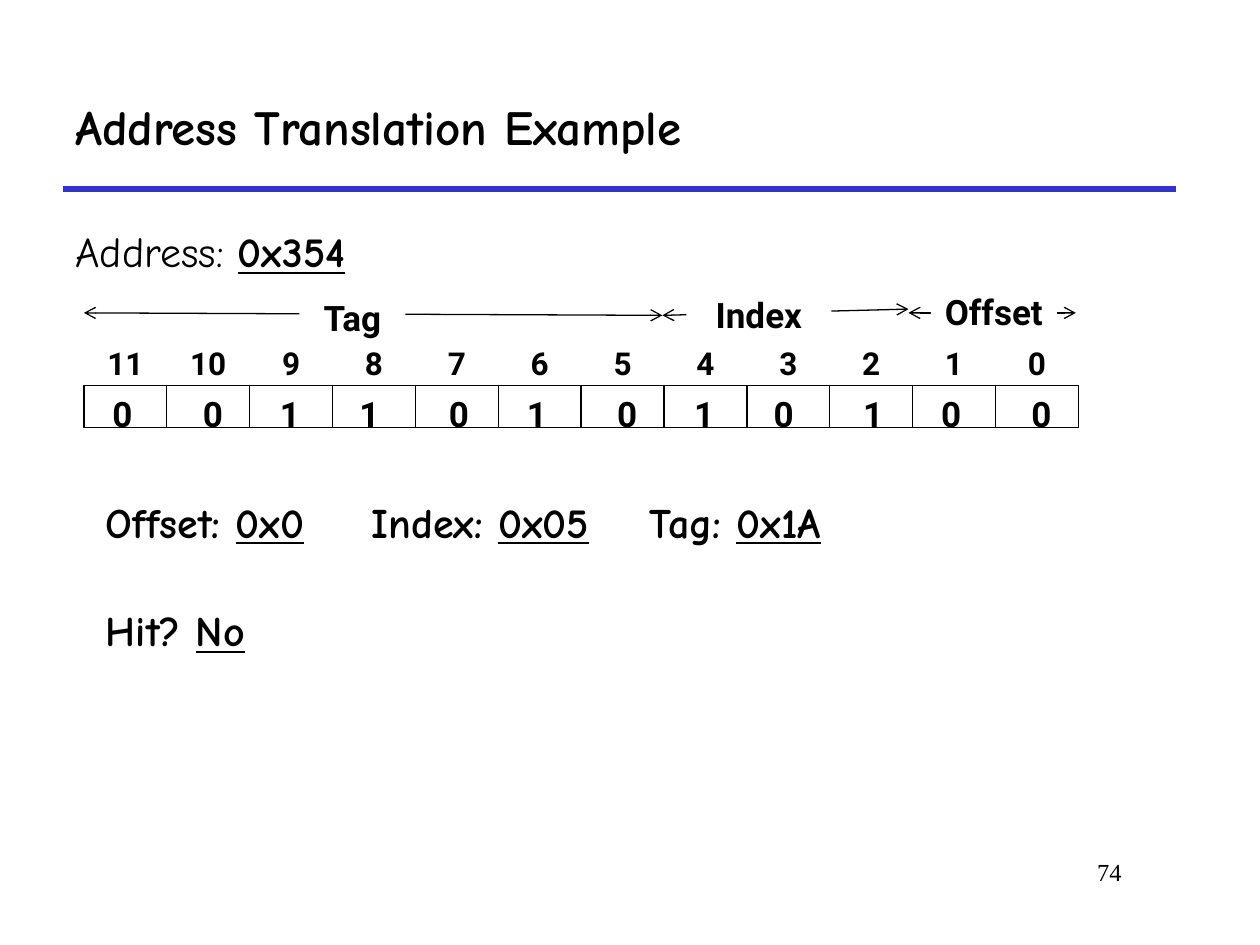
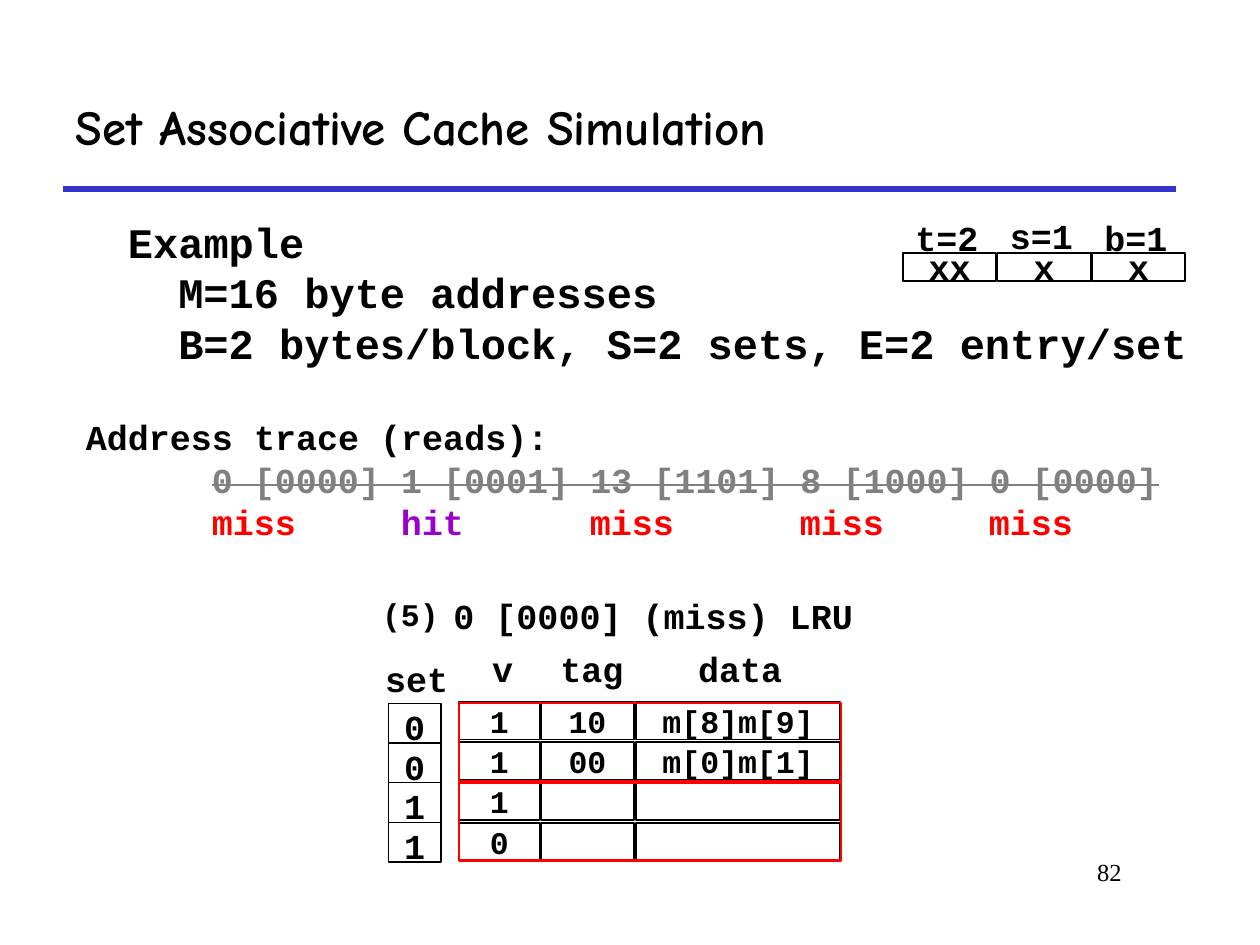
import dataclasses
import itertools

import pptx
import pptx.dml.color
import pptx.enum.shapes
import pptx.enum.text
import pptx.oxml.ns
import pptx.util
from lxml import etree

UNIT = pptx.util.Inches(1 / 12)  # the slide is a grid of 120 columns by 90 rows
COLUMNS, ROWS = 120, 90

BLACK = pptx.dml.color.RGBColor(0x00, 0x00, 0x00)
WHITE = pptx.dml.color.RGBColor(0xFF, 0xFF, 0xFF)
RULE_BLUE = pptx.dml.color.RGBColor(0x33, 0x33, 0xCC)
PAST_GREY = pptx.dml.color.RGBColor(0x80, 0x80, 0x80)
MISS_RED = pptx.dml.color.RGBColor(0xFF, 0x00, 0x00)
HIT_PURPLE = pptx.dml.color.RGBColor(0x99, 0x00, 0xCC)

LEFT = pptx.enum.text.PP_ALIGN.LEFT
CENTER = pptx.enum.text.PP_ALIGN.CENTER
RIGHT = pptx.enum.text.PP_ALIGN.RIGHT
TOP = pptx.enum.text.MSO_ANCHOR.TOP
MIDDLE = pptx.enum.text.MSO_ANCHOR.MIDDLE


@dataclasses.dataclass(frozen=True)
class Box:
    """A rectangle in grid units."""
    left: float
    top: float
    width: float
    height: float

    def offset(self, x, y, width, height):
        """A box placed from this one's top left corner."""
        return Box(self.left + x, self.top + y, width, height)

    def cell(self, columns, rows, x, y, width=1, height=1):
        """A box within this one, divided into columns and rows."""
        column, row = self.width / columns, self.height / rows
        return self.offset(x * column, y * row, width * column, height * row)

    def emu(self):
        return [round(n * UNIT) for n in (self.left, self.top, self.width, self.height)]


@dataclasses.dataclass(frozen=True)
class Style:
    font: str
    size: float
    bold: bool = True
    color: pptx.dml.color.RGBColor = BLACK
    underline: bool = False
    strike: bool = False

    def but(self, **changes):
        return dataclasses.replace(self, **changes)


HEADING = Style("Comic Neue", 28)
PROSE = Style("Comic Neue", 24)
ANSWER = PROSE.but(underline=True)
BIT_NUMBER = Style("Roboto", 18)
BIT = Style("Roboto", 20)
CODE_LARGE = Style("Courier New", 24)
CODE = Style("Courier New", 20)
CODE_SMALL = Style("Courier New", 18)
PAGE_NUMBER = Style("Times New Roman", 14, bold=False)


def add_runs(paragraph, runs):
    for text, style in runs:
        run = paragraph.add_run()
        run.text = text
        font = run.font
        font.name, font.size = style.font, pptx.util.Pt(style.size)
        font.bold, font.underline = style.bold, style.underline
        font.color.rgb = style.color
        if style.strike:
            run._r.get_or_add_rPr().set("strike", "sngStrike")


def fill_frame(frame, paragraphs, align=LEFT, anchor=TOP, wrap=False, spacing=None):
    """Write paragraphs, each a list of (text, style) runs."""
    frame.word_wrap = wrap
    frame.vertical_anchor = anchor
    for number, runs in enumerate(paragraphs):
        paragraph = frame.add_paragraph() if number else frame.paragraphs[0]
        paragraph.alignment = align
        if spacing:
            paragraph.line_spacing = spacing
        add_runs(paragraph, runs)
    return frame


def add_text(slide, box, paragraphs, **layout):
    return fill_frame(slide.shapes.add_textbox(*box.emu()).text_frame, paragraphs, **layout)


def add_rect(slide, box, fill=None, line=None, weight=0.75):
    rect = slide.shapes.add_shape(pptx.enum.shapes.MSO_SHAPE.RECTANGLE, *box.emu())
    rect.shadow.inherit = False
    if fill is None:
        rect.fill.background()
    else:
        rect.fill.solid()
        rect.fill.fore_color.rgb = fill
    if line is None:
        rect.line.fill.background()
    else:
        rect.line.color.rgb = line
        rect.line.width = pptx.util.Pt(weight)
    return rect


def add_code_cell(slide, box, text, style):
    cell = add_rect(slide, box, WHITE, BLACK, 1)
    if text:
        fill_frame(cell.text_frame, [[(text, style)]], align=CENTER, anchor=MIDDLE)


def add_line(slide, start, end, color=BLACK, weight=0.75, arrows=False):
    ends = [round(n * UNIT) for n in (*start, *end)]
    line = slide.shapes.add_connector(pptx.enum.shapes.MSO_CONNECTOR.STRAIGHT, *ends)
    line.line.color.rgb = color
    line.line.width = pptx.util.Pt(weight)
    if arrows:
        for tag in ("a:headEnd", "a:tailEnd"):
            etree.SubElement(line.line._ln, pptx.oxml.ns.qn(tag), type="arrow")
    etree.SubElement(line._element.spPr, pptx.oxml.ns.qn("a:effectLst"))


def set_tabs(paragraph, stops):
    tabs = etree.SubElement(paragraph._p.get_or_add_pPr(), pptx.oxml.ns.qn("a:tabLst"))
    for stop in stops:
        etree.SubElement(tabs, pptx.oxml.ns.qn("a:tab"), pos=str(round(stop * UNIT)), algn="l")


def add_page(deck, title, number):
    """A blank slide with the shared rule, page number and title."""
    slide = deck.slides.add_slide(deck.slide_layouts[6])
    add_line(slide, (6, 18), (112, 18), RULE_BLUE, 3)
    add_text(slide, Box(91, 81, 17, 6), [[(number, PAGE_NUMBER)]], align=RIGHT, wrap=True)
    add_text(slide, Box(6, 6, 106, 12), [[(title, HEADING)]], anchor=MIDDLE, wrap=True)
    return slide


def add_bit_grid(slide, box, bits):
    """Bit numbers over one cell per bit; the digits keep a hand-set rhythm."""
    count = len(bits)
    nudges = itertools.cycle((0.13, 0.22, 0.15, 0.11, 0.19))
    for column in range(count):
        add_rect(slide, box.cell(count, 2, column, 1), line=BLACK)
        add_text(slide, box.cell(count, 2, column, 0),
                 [[(str(count - 1 - column), BIT_NUMBER)]],
                 align=CENTER, anchor=MIDDLE, spacing=0.9)
    for column, (bit, nudge) in enumerate(zip(bits, nudges)):
        add_text(slide, box.cell(count, 2, column + nudge, 1, 0.67, 1.33),
                 [[(bit, BIT)]], align=CENTER)


def add_field_spans(slide, box):
    """Arrows over the bit columns of each field, broken by the field's name."""
    # name, arrow ends as (column, row), label column, row and width
    fields = [
        ("Offset", (9.95, -0.76), (11.97, -0.76), 10.22, -1.34, 1.52),
        ("Index", (6.98, -0.7), (9.95, -0.85), 7.27, -1.25, 1.75),
        ("Tag", (0, -0.76), (6.98, -0.7), 2.6, -1.19, 1.28),
    ]
    for name, start, end, column, row, width in fields:
        corners = [box.cell(12, 2, *corner) for corner in (start, end)]
        add_line(slide, *[(corner.left, corner.top) for corner in corners], arrows=True)
        label = add_rect(slide, box.cell(12, 2, column, row, width, 1.22), WHITE)
        fill_frame(label.text_frame, [[(name, BIT)]], align=CENTER, spacing=0.9)


def add_answers(slide, box):
    fields = [("Offset: ", PROSE), ("0x0", ANSWER), ("\tIndex: ", PROSE),
              ("0x05", ANSWER), ("\tTag: ", PROSE), ("0x1A", ANSWER)]
    hit = [("Hit? ", PROSE), ("No", ANSWER)]
    frame = add_text(slide, box, [fields, hit], wrap=True, spacing=0.9)
    set_tabs(frame.paragraphs[0], (25.3, 51.8))
    frame.paragraphs[1].space_before = pptx.util.Pt(36)


def add_translation_slide(deck):
    slide = add_page(deck, "Address Translation Example", "74")
    address = [("Address: ", PROSE.but(bold=False)), ("0x354", ANSWER)]
    add_text(slide, Box(6, 19, 33, 7.3), [address], spacing=1.4)
    bit_box = Box(8, 32.8, 94.7, 7.9)
    add_bit_grid(slide, bit_box, "001101010100")
    add_field_spans(slide, bit_box)
    add_answers(slide, Box(8.9, 47.2, 98, 16.2))


def add_parameters(slide, box):
    lines = ["Example", "M=16 byte addresses",
             "B=2 bytes/block, S=2 sets, E=2 entry/set"]
    frame = add_text(slide, box, [[(line, CODE_LARGE)] for line in lines], wrap=True)
    for paragraph in frame.paragraphs[1:]:
        paragraph._p.get_or_add_pPr().set("marL", str(round(4.8 * UNIT)))


def add_address_fields(slide, box):
    fields = [("t=2", "xx", -4.1), ("s=1", "x", -4.3), ("b=1", "x", -4.1)]
    for column, (size, bits, rise) in enumerate(fields):
        add_code_cell(slide, box.offset(9 * column, 0, 8.9, box.height), bits, CODE)
        add_text(slide, box.offset(9 * column, rise, 8.4, 5.2), [[(size, CODE)]])


def add_trace(slide, box):
    reads = "0 [0000] 1 [0001] 13 [1101] 8 [1000] 0 [0000]"
    outcomes = ["miss", "hit", "miss", "miss", "miss"]
    colors = {"miss": MISS_RED, "hit": HIT_PURPLE}
    add_text(slide, box.offset(0, 0, box.width, 5.2),
             [[("Address trace (reads):", CODE)]], wrap=True)
    results = [("\t" * (number > 0) + outcome, CODE.but(color=colors[outcome]))
               for number, outcome in enumerate(outcomes)]
    frame = add_text(slide, box.offset(12, 4.04, box.width - 12, 9.3),
                     [[(reads, CODE.but(color=PAST_GREY, strike=True))], results], wrap=True)
    set_tabs(frame.paragraphs[1], (18, 36, 56, 74))


def add_step(slide, box):
    add_text(slide, box.offset(6.8, 0, box.width - 6.8, 5.2),
             [[("0 [0000] (miss) LRU", CODE)]], wrap=True)
    add_text(slide, box.offset(0, 0.1, 7.8, 4.8), [[("(5)", CODE_SMALL)]])


def add_cache_lines(slide, box):
    columns = [(0, 7.7), (7.8, 8.9), (16.9, 19.4)]
    headings = [("v", 2), ("tag", 8.5), ("data", 21.6)]
    lines = [("1", "10", "m[8]m[9]"), ("1", "00", "m[0]m[1]"), ("1", "", ""), ("0", "", "")]
    for row, values in enumerate(lines):
        for (x, width), value in zip(columns, values):
            add_code_cell(slide, box.offset(x, 3.84 * row, width, 3.6), value, CODE_SMALL)
    for heading, x in headings:
        add_text(slide, box.offset(x, -5.75, 10.6, 5.2), [[(heading, CODE)]], wrap=True)
    for set_number in range(2):
        outline = box.offset(0, 0.1 + 7.56 * set_number, box.width, 7.45)
        add_rect(slide, outline, line=MISS_RED, weight=1.5)


def add_set_column(slide, box):
    add_text(slide, box.offset(-1.5, -5, 8.5, 5.3), [[("set", CODE)]])
    add_rect(slide, box, line=BLACK)
    for row, set_number in enumerate("0011"):
        cell = box.cell(1, 4, 0, row)
        if row:
            add_line(slide, (cell.left, cell.top), (cell.left + cell.width, cell.top))
        add_text(slide, cell.offset(0, -0.4, cell.width, 5.2), [[(set_number, CODE)]],
                 align=CENTER)


def add_simulation_slide(deck):
    slide = add_page(deck, "Set Associative Cache Simulation", "82")
    add_parameters(slide, Box(11, 20, 104, 16))
    add_trace(slide, Box(7, 39, 109, 13.3))
    add_cache_lines(slide, Box(43.7, 66.84, 36.4, 15.1))
    add_step(slide, Box(35.2, 56, 47.5, 5.2))
    add_address_fields(slide, Box(86, 24.1, 26.9, 2.65))
    add_set_column(slide, Box(37, 67, 5, 15.1))


def main():
    deck = pptx.Presentation()
    deck.slide_width, deck.slide_height = COLUMNS * UNIT, ROWS * UNIT
    add_translation_slide(deck)
    add_simulation_slide(deck)
    deck.save("out.pptx")


if __name__ == "__main__":
    main()
